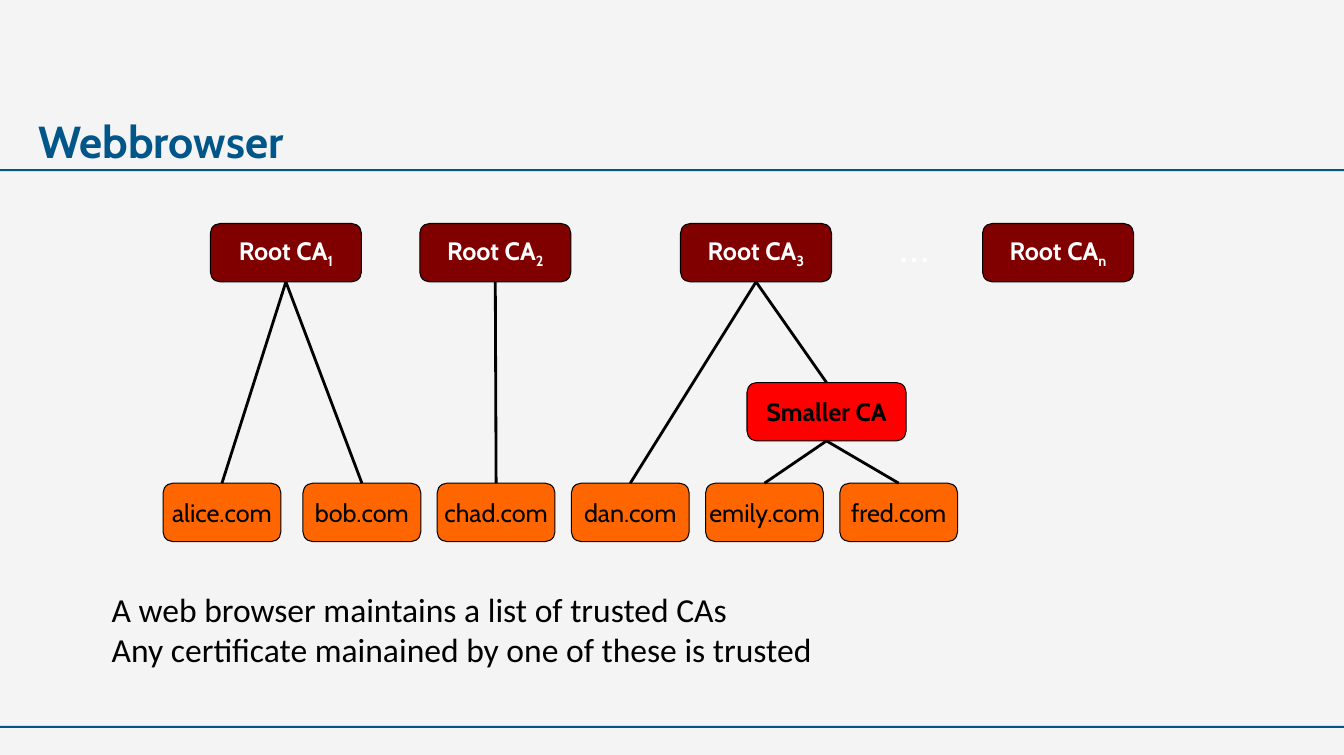
from lxml.etree import SubElement
from pptx import Presentation
from pptx.dml.color import RGBColor
from pptx.enum.shapes import MSO_CONNECTOR, MSO_SHAPE
from pptx.enum.text import MSO_ANCHOR, MSO_AUTO_SIZE, PP_ALIGN
from pptx.oxml.ns import qn
from pptx.util import Inches, Pt

COLORS = {
    "background": "F4F4F4", "accent": "005589", "root": "800000",
    "smaller": "FF0000", "domain": "FF6600", "dark": "000000", "light": "FFFFFF",
}
WIDTH, HEIGHT = 13.35, 7.5
BOX_HEIGHT = 0.58
ROOT_TOP, SMALLER_TOP, DOMAIN_TOP = 2.22, 3.8, 4.8
ROOT_WIDTH, SMALLER_WIDTH, DOMAIN_WIDTH = 1.5, 1.58, 1.17


def add_run(paragraph, text, size, color, bold=False, font="Cabin"):
    run = paragraph.add_run()
    run.text = text
    run.font.name, run.font.size, run.font.bold = font, Pt(size), bold
    run.font.color.rgb = RGBColor.from_string(COLORS[color])
    return run


def add_node(left, top, width, fill, label, color, bold=False, index=""):
    """Add a rounded box; index is set as a subscript after the label."""
    node = slide.shapes.add_shape(
        MSO_SHAPE.FLOWCHART_ALTERNATE_PROCESS,
        Inches(left), Inches(top), Inches(width), Inches(BOX_HEIGHT))
    node.shadow.inherit = False
    node.fill.solid()
    node.fill.fore_color.rgb = RGBColor.from_string(COLORS[fill])
    node.line.color.rgb = RGBColor.from_string(COLORS["dark"])
    node.line.width = Pt(0.75)
    frame = node.text_frame
    frame.word_wrap = False
    frame.vertical_anchor = MSO_ANCHOR.MIDDLE
    paragraph = frame.paragraphs[0]
    paragraph.alignment = PP_ALIGN.CENTER
    add_run(paragraph, label, 18, color, bold)
    if index:
        subscript = add_run(paragraph, index, 18, color, bold)
        subscript._r.get_or_add_rPr().set("baseline", "-25000")
    return node


prs = Presentation()
prs.slide_width, prs.slide_height = Inches(WIDTH), Inches(HEIGHT)
slide = prs.slides.add_slide(prs.slide_layouts[1])
slide.background.fill.solid()
slide.background.fill.fore_color.rgb = RGBColor.from_string(COLORS["background"])

# Rules under the title and above the footer
for rule_top in (1.68, 7.21):
    rule = slide.shapes.add_shape(
        MSO_SHAPE.RECTANGLE, 0, Inches(rule_top), prs.slide_width, Inches(0.02))
    rule.shadow.inherit = False
    rule.fill.solid()
    rule.fill.fore_color.rgb = RGBColor.from_string(COLORS["accent"])
    rule.line.fill.background()

# Title
title = slide.shapes.title
title.left, title.top, title.width, title.height = map(Inches, (0.38, 1.13, 4.44, 0.54))
heading = title.text_frame
heading.margin_left = heading.margin_right = heading.margin_top = heading.margin_bottom = 0
heading.auto_size = MSO_AUTO_SIZE.NONE
heading.vertical_anchor = MSO_ANCHOR.MIDDLE
heading.paragraphs[0].alignment = PP_ALIGN.LEFT
add_run(heading.paragraphs[0], "Webbrowser", 32, "accent", bold=True)

# Certificate authorities and the domains they certify
nodes = {}
for index, left in {"1": 2.09, "2": 4.17, "3": 6.76, "n": 9.76}.items():
    nodes[index] = add_node(
        left, ROOT_TOP, ROOT_WIDTH, "root", "Root CA", "light", True, index)
nodes["smaller"] = add_node(
    7.42, SMALLER_TOP, SMALLER_WIDTH, "smaller", "Smaller CA", "dark", True)

domain_lefts = [1.62] + [3.01 + 1.333 * column for column in range(5)]
for name, left in zip(("alice", "bob", "chad", "dan", "emily", "fred"), domain_lefts):
    nodes[name] = add_node(left, DOMAIN_TOP, DOMAIN_WIDTH, "domain", f"{name}.com", "dark")

issued = {
    "1": ("alice", "bob"), "2": ("chad",), "3": ("dan", "smaller"),
    "smaller": ("emily", "fred"),
}
BOTTOM_SITE, TOP_SITE = 2, 0
for issuer, holders in issued.items():
    for holder in holders:
        link = slide.shapes.add_connector(MSO_CONNECTOR.STRAIGHT, 0, 0, 0, 0)
        link.begin_connect(nodes[issuer], BOTTOM_SITE)
        link.end_connect(nodes[holder], TOP_SITE)
        link.line.color.rgb = RGBColor.from_string(COLORS["dark"])
        link.line.width = Pt(2)
        SubElement(link._element.spPr, qn("a:effectLst"))

# Gap between the third and the last root
more_roots = slide.shapes.add_textbox(*map(Inches, (8.84, 2.11, 0.56, 0.63))).text_frame
more_roots.word_wrap = False
add_run(more_roots.paragraphs[0], "…", 32, "light")

# Explanation
body = slide.placeholders[1]
body.left, body.top, body.width, body.height = map(Inches, (1.01, 5.8, 10.5, 0.91))
explanation = body.text_frame
explanation.auto_size = MSO_AUTO_SIZE.NONE
for number, sentence in enumerate((
        "A web browser maintains a list of trusted CAs",
        "Any certificate mainained by one of these is trusted")):
    paragraph = explanation.add_paragraph() if number else explanation.paragraphs[0]
    properties = paragraph._p.get_or_add_pPr()
    properties.set("marL", "0")
    properties.set("indent", "0")
    SubElement(properties, qn("a:buNone"))
    paragraph.space_before = Pt(0)
    add_run(paragraph, sentence, 24, "dark", font="Calibri")

prs.save("out.pptx")
